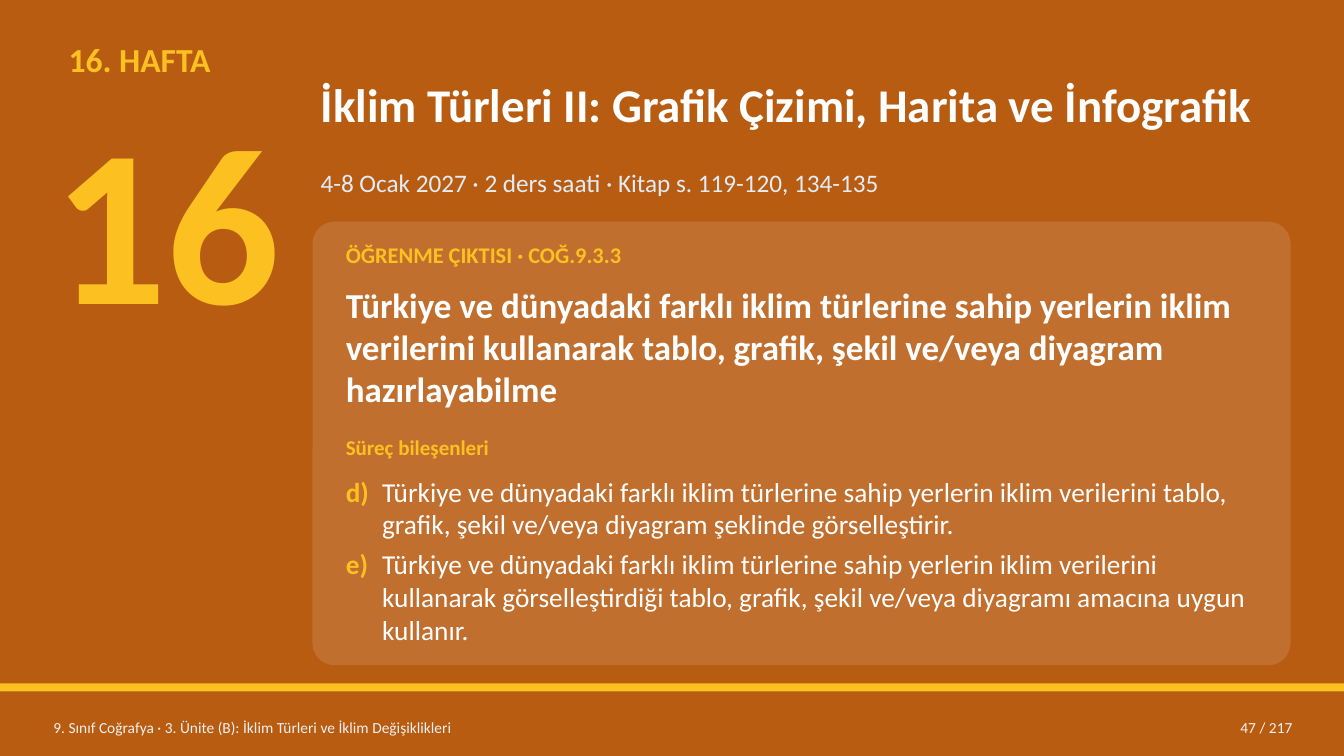
import pptx
import pptx.dml.color
import pptx.enum.shapes
import pptx.enum.text
import pptx.oxml
import pptx.oxml.ns
import pptx.util
from dataclasses import dataclass

WEEK_LABEL = "16. HAFTA"
WEEK_NUMBER = "16"
TITLE = "İklim Türleri II: Grafik Çizimi, Harita ve İnfografik"
SCHEDULE = "4-8 Ocak 2027 · 2 ders saati · Kitap s. 119-120, 134-135"
OUTCOME_LABEL = "ÖĞRENME ÇIKTISI · COĞ.9.3.3"
OUTCOME = (
    "Türkiye ve dünyadaki farklı iklim türlerine sahip yerlerin iklim verilerini "
    "kullanarak tablo, grafik, şekil ve/veya diyagram hazırlayabilme"
)
PROCESS_LABEL = "Süreç bileşenleri"
PROCESS_STEPS = [
    ("d)", "Türkiye ve dünyadaki farklı iklim türlerine sahip yerlerin iklim verilerini "
           "tablo, grafik, şekil ve/veya diyagram şeklinde görselleştirir."),
    ("e)", "Türkiye ve dünyadaki farklı iklim türlerine sahip yerlerin iklim verilerini "
           "kullanarak görselleştirdiği tablo, grafik, şekil ve/veya diyagramı amacına "
           "uygun kullanır."),
]
FOOTER = "9. Sınıf Coğrafya · 3. Ünite (B): İklim Türleri ve İklim Değişiklikleri"
PAGE_NUMBER = "47 / 217"


@dataclass(frozen=True)
class Theme:
    font: str = "Calibri"
    ground: str = "B85C12"
    accent: str = "FCC021"
    white: str = "FFFFFF"
    pale: str = "E3ECF5"
    footer: str = "F0F0F0"
    panel_opacity: int = 12
    number_size: float = 160
    title_size: float = 33.5
    outcome_size: float = 25
    week_size: float = 24
    step_size: float = 19.5
    schedule_size: float = 18
    label_size: float = 16
    process_size: float = 15
    footer_size: float = 11


theme = Theme()
Inches = pptx.util.Inches
Pt = pptx.util.Pt
Anchor = pptx.enum.text.MSO_ANCHOR
Align = pptx.enum.text.PP_ALIGN
Shape = pptx.enum.shapes.MSO_SHAPE

WIDTH, HEIGHT = 13.33, 7.5
COLUMN_LEFT, COLUMN_WIDTH = 3.1, 9.7
PANEL_PADDING = 0.25
INNER_LEFT = COLUMN_LEFT + PANEL_PADDING
INNER_WIDTH = COLUMN_WIDTH - 2 * PANEL_PADDING
FOOTER_TOP, FOOTER_HEIGHT = 7.04, 0.36
STEP_INDENT = 0.36


def rgb(color):
    return pptx.dml.color.RGBColor.from_string(color)


def add_span(para, text, size, color, bold=False):
    span = para.add_run()
    span.text = text
    span.font.name = theme.font
    span.font.size = Pt(size)
    span.font.bold = bold
    span.font.color.rgb = rgb(color)


def place(page, left, top, width, height, box=None, anchor=Anchor.TOP, inset=0.04):
    if box is None:
        box = page.shapes.add_textbox(0, 0, 0, 0)
    else:
        page.shapes.element.append(box.element)
    box.left, box.top = Inches(left), Inches(top)
    box.width, box.height = Inches(width), Inches(height)
    frame = box.text_frame
    frame.word_wrap = True
    frame.auto_size = pptx.enum.text.MSO_AUTO_SIZE.NONE
    frame.vertical_anchor = anchor
    frame.margin_left = frame.margin_right = Inches(0.08)
    frame.margin_top = frame.margin_bottom = Inches(inset)
    return frame


def write(page, text, *place_at, size, color, bold=False, align=Align.LEFT, **placing):
    para = place(page, *place_at, **placing).paragraphs[0]
    para.alignment = align
    add_span(para, text, size, color, bold)


def add_block(page, kind, left, top, width, height, color):
    block = page.shapes.add_shape(
        kind, Inches(left), Inches(top), Inches(width), Inches(height))
    block.shadow.inherit = False
    block.fill.solid()
    block.fill.fore_color.rgb = rgb(color)
    block.line.fill.background()
    return block


def add_panel(page):
    panel = add_block(page, Shape.ROUNDED_RECTANGLE,
                      COLUMN_LEFT, 2.2, COLUMN_WIDTH, 4.4, theme.white)
    panel.adjustments[0] = 0.05
    color = panel.element.spPr.find(".//" + pptx.oxml.ns.qn("a:srgbClr"))
    alpha = pptx.oxml.parse_xml(
        f'<a:alpha {pptx.oxml.ns.nsdecls("a")} val="{theme.panel_opacity * 1000}"/>')
    color.append(alpha)


def add_steps(page, box):
    frame = place(page, INNER_LEFT, 4.67, INNER_WIDTH, 1.81, box=box)
    for index, (letter, step) in enumerate(PROCESS_STEPS):
        para = frame.add_paragraph() if index else frame.paragraphs[0]
        para.space_before = Pt(4.9 if index else 0)
        properties = para._p.get_or_add_pPr()
        properties.set("marL", str(Inches(STEP_INDENT)))
        properties.set("indent", str(-Inches(STEP_INDENT)))
        properties.append(pptx.oxml.parse_xml(
            f'<a:buNone {pptx.oxml.ns.nsdecls("a")}/>'))
        add_span(para, letter + "\t", theme.step_size, theme.accent, bold=True)
        add_span(para, step, theme.step_size, theme.white)


def main():
    deck = pptx.Presentation()
    deck.slide_width, deck.slide_height = Inches(WIDTH), Inches(HEIGHT)
    page = deck.slides.add_slide(deck.slide_layouts[1])
    page.background.fill.solid()
    page.background.fill.fore_color.rgb = rgb(theme.ground)
    title, body = page.shapes.title, page.placeholders[1]

    add_block(page, Shape.RECTANGLE, 0, 6.78, WIDTH, 0.08, theme.accent)
    write(page, WEEK_LABEL, 0.6, 0.35, 2.6, 0.55,
          size=theme.week_size, color=theme.accent, bold=True)
    write(page, WEEK_NUMBER, 0.45, 0.8, 2.6, 2.75,
          size=theme.number_size, color=theme.accent, bold=True, inset=0)
    write(page, TITLE, COLUMN_LEFT, 0.45, COLUMN_WIDTH, 1.15, box=title,
          size=theme.title_size, color=theme.white, bold=True, anchor=Anchor.MIDDLE)
    write(page, SCHEDULE, COLUMN_LEFT, 1.62, COLUMN_WIDTH, 0.45,
          size=theme.schedule_size, color=theme.pale)

    add_panel(page)
    write(page, OUTCOME_LABEL, INNER_LEFT, 2.35, INNER_WIDTH, 0.4,
          size=theme.label_size, color=theme.accent, bold=True)
    write(page, OUTCOME, INNER_LEFT, 2.77, INNER_WIDTH, 1.38,
          size=theme.outcome_size, color=theme.white, bold=True)
    write(page, PROCESS_LABEL, INNER_LEFT, 4.27, INNER_WIDTH, 0.38,
          size=theme.process_size, color=theme.accent, bold=True)
    add_steps(page, body)

    write(page, FOOTER, 0.45, FOOTER_TOP, 7.6, FOOTER_HEIGHT,
          size=theme.footer_size, color=theme.footer, anchor=Anchor.MIDDLE)
    write(page, PAGE_NUMBER, 11.3, FOOTER_TOP, 1.6, FOOTER_HEIGHT, align=Align.RIGHT,
          size=theme.footer_size, color=theme.footer, anchor=Anchor.MIDDLE)
    deck.save("out.pptx")


if __name__ == "__main__":
    main()
